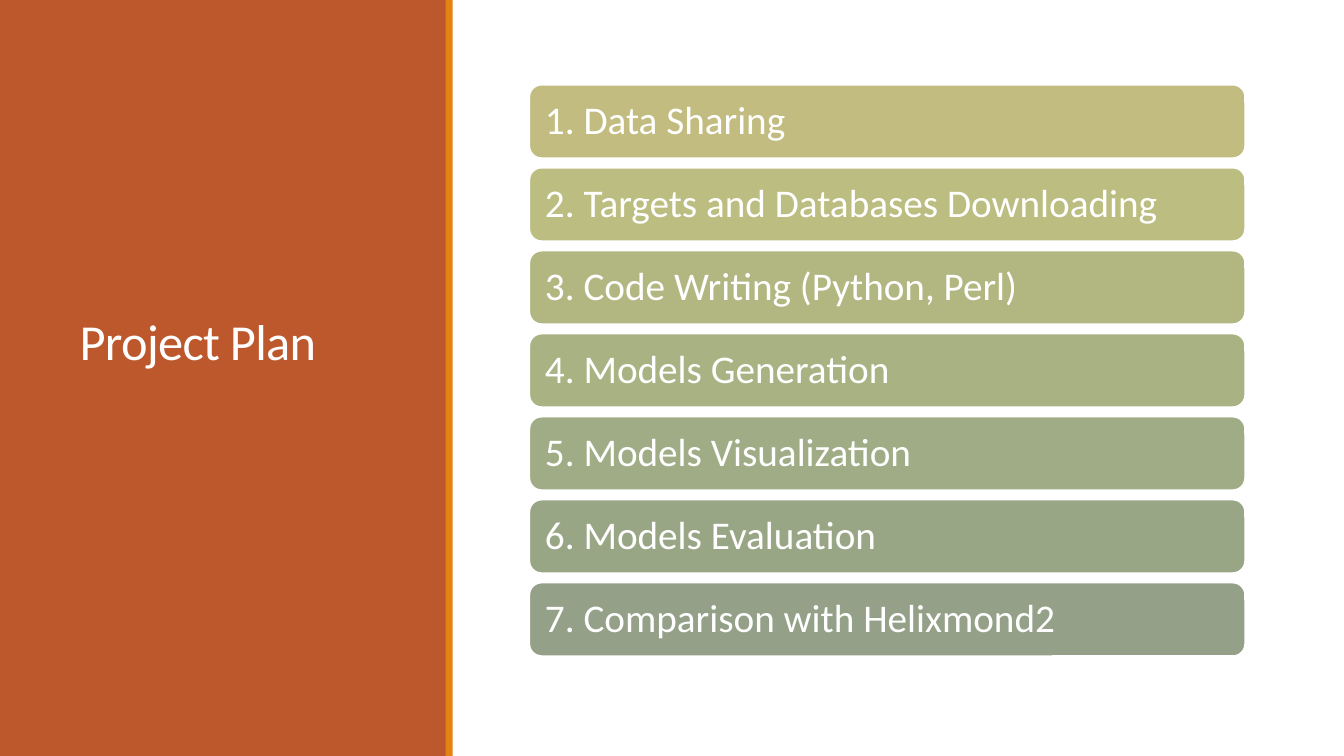
import pptx
import pptx.util
import pptx.dml.color
import pptx.enum.shapes
import pptx.enum.text

Inches = pptx.util.Inches
Pt = pptx.util.Pt
Kind = pptx.enum.shapes.MSO_SHAPE

WHITE = "FFFFFF"
STEPS = [
    ("1. Data Sharing", "C2BC80"),
    ("2. Targets and Databases Downloading", "BCBD81"),
    ("3. Code Writing (Python, Perl)", "B2B782"),
    ("4. Models Generation", "A8B283"),
    ("5. Models Visualization", "A0AC85"),
    ("6. Models Evaluation", "99A686"),
    ("7. Comparison with Helixmond2", "94A088"),
]
FIRST, LAST = 0.84, 5.78
PITCH = (LAST - FIRST) / (len(STEPS) - 1)


def color(code):
    return pptx.dml.color.RGBColor.from_string(code)


def add_box(slide, kind, left, top, width, height, fill):
    box = slide.shapes.add_shape(
        kind, Inches(left), Inches(top), Inches(width), Inches(height))
    box.shadow.inherit = False
    box.fill.solid()
    box.fill.fore_color.rgb = color(fill)
    box.line.fill.background()
    return box


def write(shape, text, size, spacing):
    """Fill a shape with one left-aligned white line, centred vertically."""
    frame = shape.text_frame
    frame.word_wrap = True
    frame.auto_size = pptx.enum.text.MSO_AUTO_SIZE.NONE
    frame.vertical_anchor = pptx.enum.text.MSO_ANCHOR.MIDDLE
    para = frame.paragraphs[0]
    para.alignment = pptx.enum.text.PP_ALIGN.LEFT
    para.line_spacing = spacing
    run = para.add_run()
    run.text = text
    run.font.name = "Calibri"
    run.font.size = Pt(size)
    run.font.color.rgb = color(WHITE)


def add_title(slide, text):
    title = slide.shapes.title
    title.left, title.top = Inches(0.69), Inches(2.17)
    title.width, title.height = Inches(3.5), Inches(2.5)
    write(title, text, 36, 0.85)
    for props in title.element.xpath(".//a:rPr"):
        props.set("spc", "-50")
    # Bring the title in front of the side panel
    title.element.getparent().append(title.element)


def add_step(slide, top, text, fill):
    bar = add_box(slide, Kind.ROUNDED_RECTANGLE, 5.25, top, 7.1, 0.73, fill)
    bar.line.color.rgb = color(WHITE)
    bar.line.width = Pt(1.25)
    frame = bar.text_frame
    frame.margin_left = frame.margin_right = Inches(0.12)
    write(bar, text, 28, 0.9)


def main():
    deck = pptx.Presentation()
    deck.slide_width, deck.slide_height = Inches(13.33), Inches(7.5)
    slide = deck.slides.add_slide(deck.slide_layouts.get_by_name("Title Only"))
    add_box(slide, Kind.RECTANGLE, 0, 0, 4.43, 7.5, "BD582C")
    add_box(slide, Kind.RECTANGLE, 4.42, 0, 0.07, 7.5, "E48312")
    add_title(slide, "Project Plan")
    for index, (text, fill) in enumerate(STEPS):
        add_step(slide, FIRST + index * PITCH, text, fill)
    deck.save("out.pptx")


if __name__ == "__main__":
    main()
